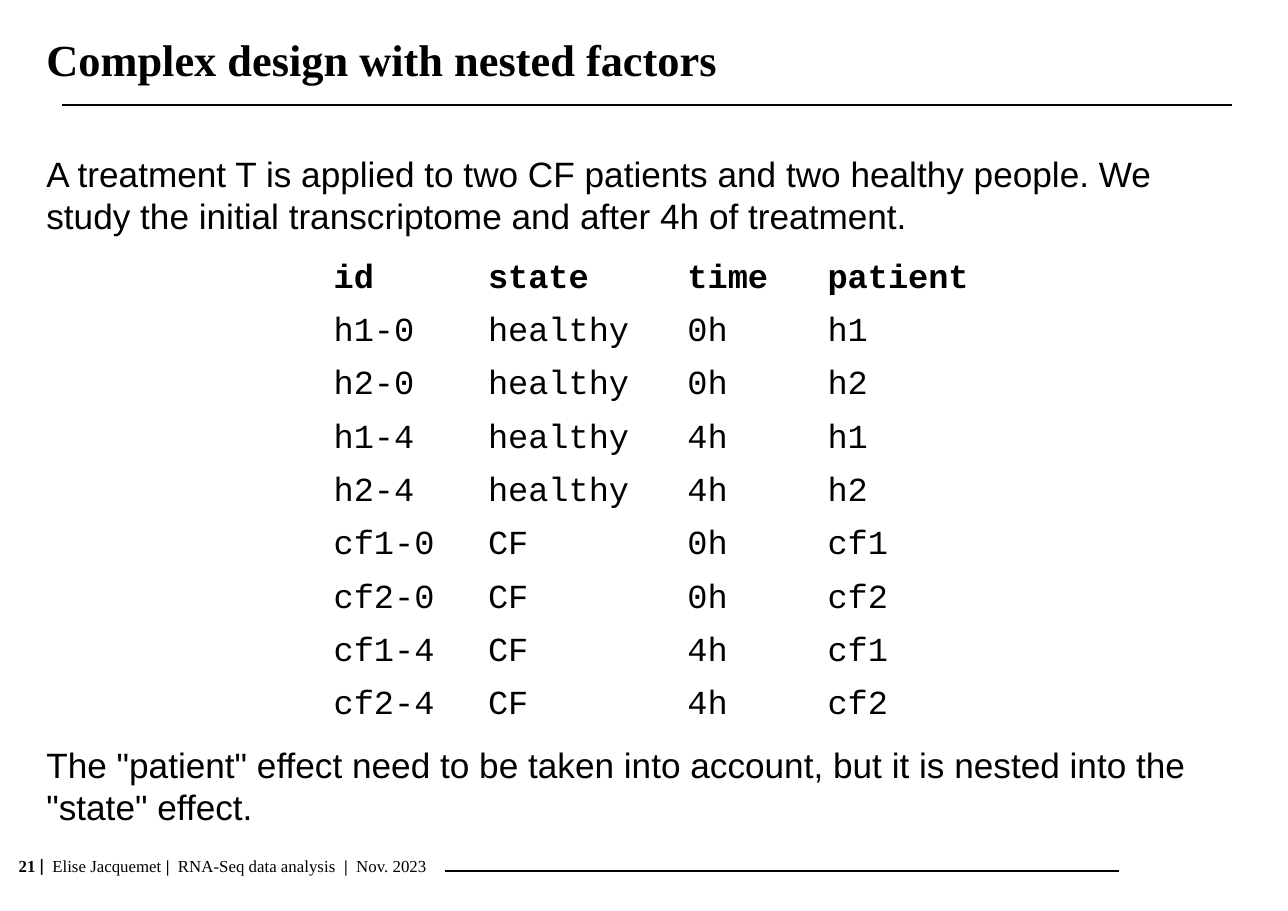
from dataclasses import dataclass
from itertools import product

from lxml.etree import SubElement
from pptx import Presentation
from pptx.dml.color import RGBColor
from pptx.enum.shapes import MSO_CONNECTOR as Link
from pptx.enum.text import MSO_ANCHOR as Anchor, MSO_AUTO_SIZE as Fit, PP_ALIGN as Align
from pptx.oxml.ns import qn
from pptx.slide import Slide
from pptx.text.text import Font, TextFrame
from pptx.util import Cm, Pt

HUES = {"ink": "000000", "paper": "FFFFFF"}
SERIF, SANS, MONO, BAR = "Times New Roman", "Arial", "Courier New", "Lato"


@dataclass
class Rule:
    """A horizontal line, in centimetres."""
    left: float
    right: float
    top: float


@dataclass
class Note:
    """A body paragraph and its top edge, in centimetres."""
    top: float
    text: str


@dataclass
class Part:
    """A piece of the footer."""
    text: str
    bold: bool = False
    face: str = SERIF


RULES = [Rule(10.26, 25.81, 20.08), Rule(1.42, 28.42, 2.42)]
NOTES = [
    Note(3.52, "A treatment T is applied to two CF patients and two healthy people. "
               "We study the initial transcriptome and after 4h of treatment."),
    Note(17.14, 'The "patient" effect need to be taken into account, '
                'but it is nested into the "state" effect.'),
]
FOOTER = [
    Part("21 ", True), Part("|  ", True, BAR), Part("Elise Jacquemet "),
    Part("| ", True), Part(" RNA-Seq data analysis  "), Part("| ", True),
    Part(" Nov. 2023"),
]
HEAD = ("id", "state", "time", "patient")
STATES = (("healthy", "h"), ("CF", "cf"))
WIDTHS = (3.56, 4.6, 3.23, 4.37)
ROW = 1.23
LEFT, WIDE = 1.07, 27.58


def style(font: Font, face: str, size: float, bold: bool = False) -> None:
    """Set the face, size, weight and colour of a font."""
    font.name, font.size, font.bold = face, Pt(size), bold
    font.color.rgb = RGBColor.from_string(HUES["ink"])


def strip(frame: TextFrame) -> None:
    """Clear the margins and wrap the text."""
    frame.margin_left = frame.margin_right = frame.margin_top = frame.margin_bottom = 0
    frame.word_wrap = True
    frame.auto_size = Fit.NONE


def add_rule(slide: Slide, rule: Rule) -> None:
    """Draw a thin line without shadow."""
    line = slide.shapes.add_connector(
        Link.STRAIGHT, Cm(rule.left), Cm(rule.top), Cm(rule.right), Cm(rule.top))
    line.line.width = Pt(0.75)
    line.line.color.rgb = RGBColor.from_string(HUES["ink"])
    SubElement(line._element.spPr, qn("a:effectLst"))


def add_title(slide: Slide, text: str) -> None:
    """Place and format the title."""
    title = slide.shapes.title
    title.left, title.top, title.width, title.height = Cm(LEFT), Cm(0.03), Cm(WIDE), Cm(2.67)
    frame = title.text_frame
    strip(frame)
    frame.vertical_anchor = Anchor.MIDDLE
    frame.text = text
    para = frame.paragraphs[0]
    para.alignment = Align.LEFT
    style(para.font, SERIF, 29, True)


def add_note(slide: Slide, note: Note) -> None:
    """Write a body paragraph."""
    box = slide.shapes.add_textbox(Cm(LEFT), Cm(note.top), Cm(WIDE), Cm(2))
    strip(box.text_frame)
    para = box.text_frame.paragraphs[0]
    para.text = note.text
    para.line_spacing = Pt(27.4)
    style(para.font, SANS, 23)


def add_footer(slide: Slide) -> None:
    """Write the footer from its parts."""
    box = slide.shapes.add_textbox(Cm(0.18), Cm(19.61), Cm(11.43), Cm(0.74))
    box.text_frame.word_wrap = True
    para = box.text_frame.paragraphs[0]
    for part in FOOTER:
        run = para.add_run()
        run.text = part.text
        style(run.font, part.face, 11, part.bold)


def list_rows() -> list[tuple[str, ...]]:
    """List the header and every sample of the design."""
    rows = [HEAD]
    for (state, code), hour, num in product(STATES, (0, 4), (1, 2)):
        who = f"{code}{num}"
        rows.append((f"{who}-{hour}", state, f"{hour}h", who))
    return rows


def add_design(slide: Slide) -> None:
    """Build the table of samples."""
    rows = list_rows()
    table = slide.shapes.add_table(
        len(rows), len(HEAD), Cm(7.44), Cm(5.87),
        Cm(sum(WIDTHS)), Cm(ROW * len(rows))).table
    table.horz_banding = table.first_row = False
    for col, width in zip(table.columns, WIDTHS):
        col.width = Cm(width)
    for i, row in enumerate(rows):
        table.rows[i].height = Cm(ROW)
        for j, text in enumerate(row):
            cell = table.cell(i, j)
            cell.fill.solid()
            cell.fill.fore_color.rgb = RGBColor.from_string(HUES["paper"])
            cell.text = text
            style(cell.text_frame.paragraphs[0].font, MONO, 22, i == 0)


def main() -> None:
    """Build and save the slide."""
    deck = Presentation()
    deck.slide_width, deck.slide_height = Cm(29.7), Cm(21)
    slide = deck.slides.add_slide(deck.slide_layouts[5])
    for rule in RULES:
        add_rule(slide, rule)
    add_footer(slide)
    add_title(slide, "Complex design with nested factors")
    for note in NOTES:
        add_note(slide, note)
    add_design(slide)
    deck.save("out.pptx")


if __name__ == "__main__":
    main()
